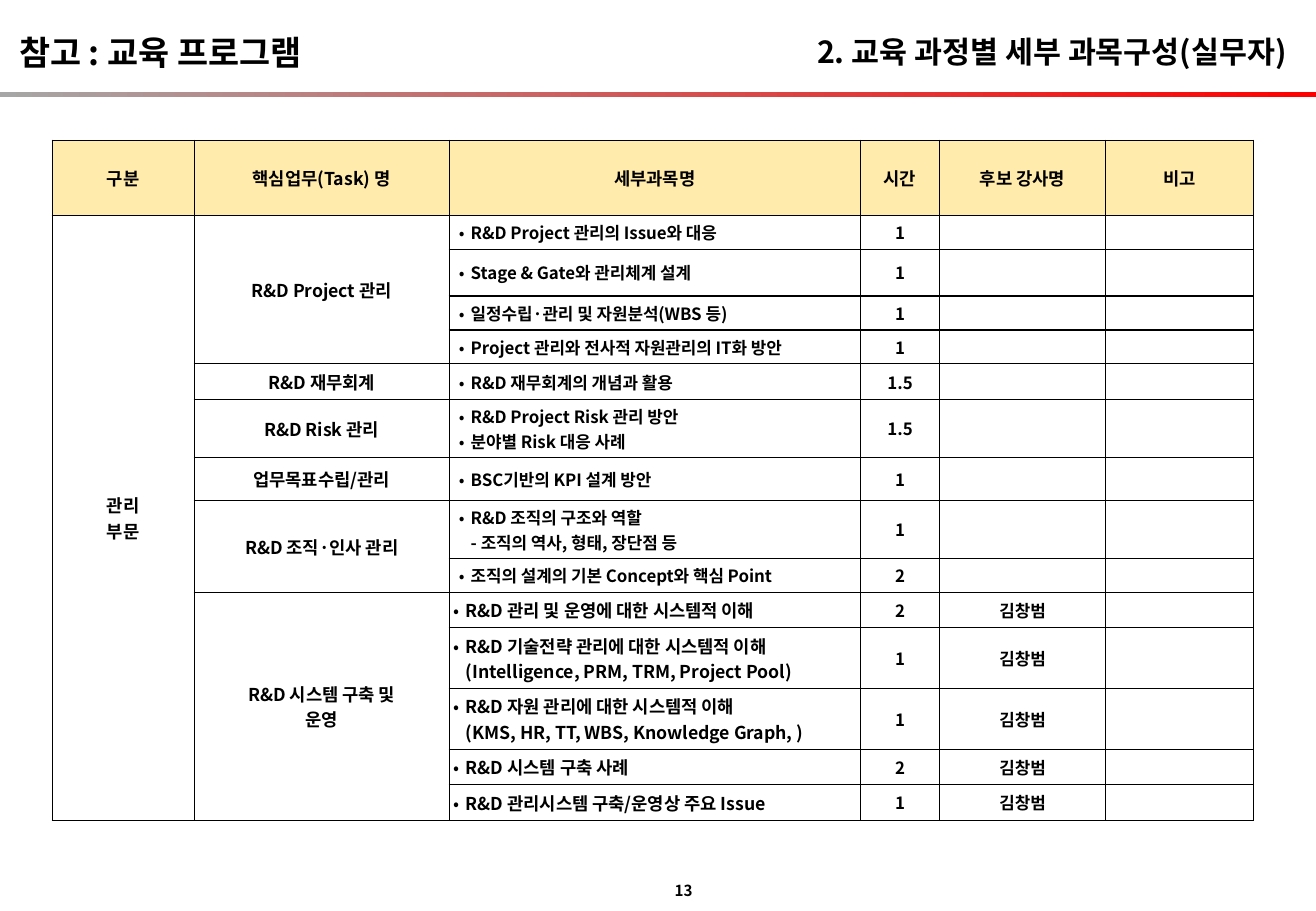
from lxml.etree import SubElement
from pptx import Presentation
from pptx.dml.color import RGBColor
from pptx.enum.shapes import MSO_SHAPE
from pptx.enum.text import MSO_ANCHOR, MSO_AUTO_SIZE, PP_ALIGN
from pptx.oxml.ns import qn
from pptx.util import Cm, Pt

BLACK = RGBColor(0x00, 0x00, 0x00)
WHITE = RGBColor(0xFF, 0xFF, 0xFF)
GREY = RGBColor(0xA6, 0xA6, 0xA6)
RED = RGBColor(0xFF, 0x00, 0x00)
CREAM = RGBColor(0xFF, 0xEB, 0xAB)
FONT = "Noto Sans CJK KR"

SLIDE_W, SLIDE_H = 27.51, 19.05
COL_WIDTHS = [2.97, 5.33, 8.6, 1.65, 3.47, 3.1]
HEADINGS = ["구분", "핵심업무(Task) 명", "세부과목명", "시간", "후보 강사명", "비고"]
HEADING_HEIGHT = 1.57
DIVISION = ["관리", "부문"]
LECTURER = "김창범"
SYSTEM_TASK = ["R&D 시스템 구축 및", "운영"]

# Task lines, then its subjects as (row height, bullets, hours)
TASKS = [
    (["R&D Project 관리"], [
        (0.71, ["R&D Project 관리의 Issue와 대응"], "1"),
        (0.98, ["Stage & Gate와 관리체계 설계"], "1"),
        (0.71, ["일정수립·관리 및 자원분석(WBS 등)"], "1"),
        (0.71, ["Project 관리와 전사적 자원관리의 IT화 방안"], "1")]),
    (["R&D 재무회계"], [(0.75, ["R&D 재무회계의 개념과 활용"], "1.5")]),
    (["R&D Risk 관리"], [
        (1.21, ["R&D Project Risk 관리 방안", "분야별 Risk 대응 사례"], "1.5")]),
    (["업무목표수립/관리"], [(0.9, ["BSC기반의 KPI 설계 방안"], "1")]),
    (["R&D 조직·인사 관리"], [
        (1.21, ["R&D 조직의 구조와 역할\v- 조직의 역사, 형태, 장단점 등"], "1"),
        (0.71, ["조직의 설계의 기본 Concept와 핵심 Point"], "2")]),
    (SYSTEM_TASK, [
        (0.74, ["R&D 관리 및 운영에 대한 시스템적 이해"], "2"),
        (1.27, ["R&D 기술전략 관리에 대한 시스템적 이해"
                "(Intelligence, PRM, TRM, Project Pool)"], "1"),
        (1.27, ["R&D 자원 관리에 대한 시스템적 이해\v"
                "(KMS, HR, TT, WBS, Knowledge Graph, )"], "1"),
        (0.74, ["R&D 시스템 구축 사례"], "2"),
        (0.74, ["R&D 관리시스템 구축/운영상 주요 Issue"], "1")]),
]


def write(tf, lines, size, align, bullet=False):
    """Fill a text frame with one bold paragraph per line."""
    for i, line in enumerate(lines):
        p = tf.paragraphs[0] if i == 0 else tf.add_paragraph()
        p.text = line
        p.alignment = align
        if bullet:
            pPr = p._p.get_or_add_pPr()
            pPr.set("marL", str(Cm(0.25)))
            pPr.set("indent", str(-Cm(0.25)))
            SubElement(pPr, qn("a:buFont"), typeface=FONT)
            SubElement(pPr, qn("a:buChar"), char="•")
        for br in p._p.findall(qn("a:br")):
            SubElement(br, qn("a:rPr"), sz=str(int(size * 100)))
        for r in p.runs:
            for name, value in dict(name=FONT, size=Pt(size), bold=True).items():
                setattr(r.font, name, value)
            r.font.color.rgb = BLACK
            SubElement(r._r.get_or_add_rPr(), qn("a:ea"), typeface=FONT)


def fit_label(sp, box, text, size, align, anchor=MSO_ANCHOR.MIDDLE):
    """Place a one-line label in its box."""
    for name, value in zip(("left", "top", "width", "height"), box):
        setattr(sp, name, Cm(value))
    tf = sp.text_frame
    for name, value in dict(word_wrap=False, vertical_anchor=anchor,
                            auto_size=MSO_AUTO_SIZE.SHAPE_TO_FIT_TEXT).items():
        setattr(tf, name, value)
    write(tf, [text], size, align)


def add_header(slide, left, top, width):
    # Gradient rule
    sp = slide.shapes.add_shape(MSO_SHAPE.RECTANGLE, Cm(left), Cm(top + 1.93),
                                Cm(width), Cm(0.1))
    sp.shadow.inherit = False
    sp.line.fill.background()
    sp.fill.gradient()
    sp.fill.gradient_angle = 0
    for stop, color in zip(sp.fill.gradient_stops, (GREY, RED)):
        stop.color.rgb = color
    # Title on the right, chapter on the left
    fit_label(slide.shapes.title, (left + width - 11.76, top + 0.56, 11.4, 1.02),
              "2. 교육 과정별 세부 과목구성(실무자)", 18, PP_ALIGN.RIGHT)
    chapter = slide.shapes.add_textbox(0, 0, 0, 0)
    fit_label(chapter, (left + 0.15, top + 0.53, 7.14, 1.12),
              "참고 : 교육 프로그램", 20, PP_ALIGN.LEFT, MSO_ANCHOR.TOP)


def format_cell(cell, col, fill):
    """Set margins, borders and fill; the hours and lecturer columns have thicker sides."""
    side = 0.2 if col > 1 else 0.1
    for name, value in dict(margin_left=Cm(side), margin_right=Cm(side),
                            margin_top=Cm(0.1), margin_bottom=Cm(0.1),
                            vertical_anchor=MSO_ANCHOR.MIDDLE).items():
        setattr(cell, name, value)
    tcPr = cell._tc.get_or_add_tcPr()
    widths = {"L": 1 if col > 2 else 0.75, "R": 1 if 2 <= col <= 4 else 0.75,
              "T": 0.75, "B": 0.75}
    for edge, width in widths.items():
        ln = SubElement(tcPr, qn(f"a:ln{edge}"), w=str(Pt(width)))
        SubElement(SubElement(ln, qn("a:solidFill")), qn("a:srgbClr"), val=str(BLACK))
    cell.fill.solid()
    cell.fill.fore_color.rgb = fill
    # Keep empty cells from stretching their rows
    SubElement(cell.text_frame.paragraphs[0]._p, qn("a:endParaRPr"), sz="1000")


def add_curriculum(slide, left, top):
    subjects = [row for task in TASKS for row in task[1]]
    heights = [HEADING_HEIGHT] + [row[0] for row in subjects]
    table = slide.shapes.add_table(len(heights), len(COL_WIDTHS), Cm(left), Cm(top),
                                   Cm(sum(COL_WIDTHS)), Cm(sum(heights))).table
    table.first_row = table.horz_banding = False
    for column, width in zip(table.columns, COL_WIDTHS):
        column.width = Cm(width)
    for i, height in enumerate(heights):
        table.rows[i].height = Cm(height)
        for col in range(len(COL_WIDTHS)):
            format_cell(table.cell(i, col), col, WHITE if i else CREAM)

    # Heading row
    for col, heading in enumerate(HEADINGS):
        cell = table.cell(0, col)
        cell.margin_left = cell.margin_right = Cm(0.1)
        write(cell.text_frame, [heading], 10.5, PP_ALIGN.CENTER)

    # Division, tasks and their subjects
    table.cell(1, 0).merge(table.cell(len(subjects), 0))
    write(table.cell(1, 0).text_frame, DIVISION, 10.5, PP_ALIGN.CENTER)
    row = 1
    for task, task_subjects in TASKS:
        is_system = task is SYSTEM_TASK
        if len(task_subjects) > 1:
            table.cell(row, 1).merge(table.cell(row + len(task_subjects) - 1, 1))
        write(table.cell(row, 1).text_frame, task, 10.5, PP_ALIGN.CENTER)
        for _, bullets, hours in task_subjects:
            cell = table.cell(row, 2)
            if is_system:
                cell.margin_left = cell.margin_right = Cm(0.1)
                write(table.cell(row, 4).text_frame, [LECTURER], 10, PP_ALIGN.CENTER)
            write(cell.text_frame, bullets, 10.5 if is_system else 10,
                  PP_ALIGN.LEFT, bullet=True)
            write(table.cell(row, 3).text_frame, [hours], 10, PP_ALIGN.CENTER)
            row += 1


def add_page_number(slide, left, top):
    sp = slide.shapes.add_textbox(0, 0, 0, 0)
    sp.text_frame.margin_left = 0
    fit_label(sp, (left, top, 0.71, 0.64), "13", 9, PP_ALIGN.RIGHT)


def main():
    prs = Presentation()
    prs.slide_width, prs.slide_height = Cm(SLIDE_W), Cm(SLIDE_H)
    slide = prs.slides.add_slide(prs.slide_layouts[5])
    add_header(slide, 0, 0, SLIDE_W)
    add_curriculum(slide, 1.09, 2.93)
    add_page_number(slide, 14.02, 18.31)
    prs.save("out.pptx")


if __name__ == "__main__":
    main()
